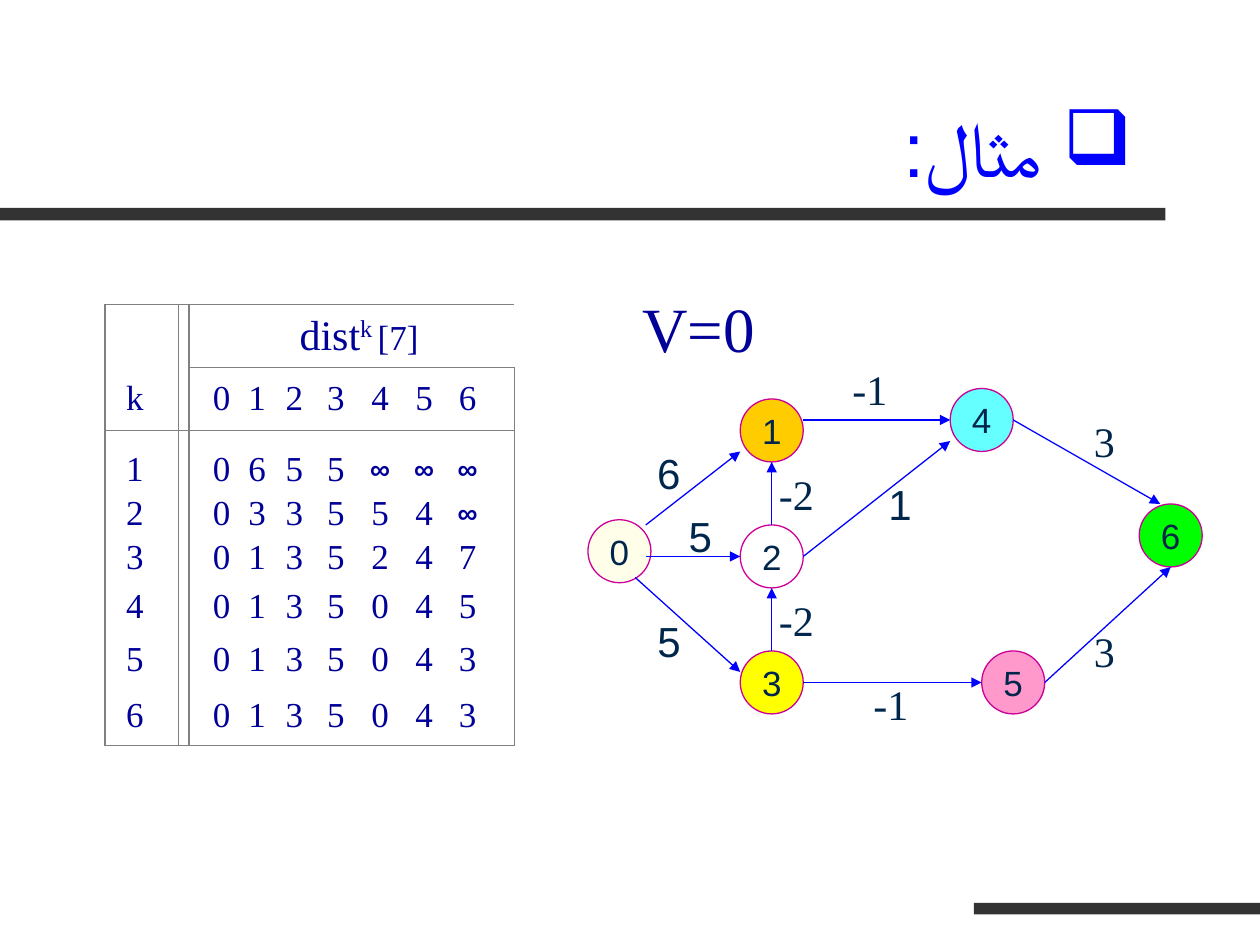
from dataclasses import dataclass

from lxml import etree
from pptx import Presentation
from pptx import util as u
from pptx.dml.color import RGBColor
from pptx.enum import shapes, text
from pptx.oxml import ns


@dataclass(frozen=True)
class Theme:
    serif: str = "Times New Roman"
    sans: str = "Arial"
    bar: str = "333333"
    blue: str = "0000FF"
    navy: str = "000099"
    ink: str = "00264C"
    grid: str = "808080"
    node_line: str = "CC0099"
    title_size: int = 44
    source_size: int = 36
    label_size: int = 24
    body_size: int = 20
    infinity_size: int = 16
    gap_size: int = 12
    line_width: float = 0.75


COLUMNS, ROWS = 120, 90
LEFT, CENTER, RIGHT = text.PP_ALIGN.LEFT, text.PP_ALIGN.CENTER, text.PP_ALIGN.RIGHT
MIDDLE = text.MSO_ANCHOR.MIDDLE

DISTANCES = ["0655∞∞∞", "033554∞", "0135247", "0135045", "0135043", "0135043"]
TABLE_COLUMNS = [7, 1, 4.8, 3.4, 3.7, 4.2, 4.2, 4.2, 6.5]
TABLE_ROWS = [6, 6, 5.9, 4, 4.4, 5, 5, 5.7]

NODES = [(56, 49.5, "FFFFE9"), (70.5, 38, "FFCC00"), (70.5, 50, "FFFFFF"),
         (70.5, 62, "FFFF00"), (90.5, 37, "66FFFF"), (93.5, 62, "FF99CC"),
         (108.5, 48, "00FF00")]
EDGES = [(61.5, 50, 70.5, 43), (61.5, 53, 70.5, 53), (60.5, 55, 70.5, 64),
         (76.5, 40, 90.5, 40), (73.5, 50, 73.5, 44), (73.5, 62, 73.5, 56),
         (76.5, 53, 90.5, 42), (76.5, 65, 93.5, 65), (96.5, 40, 110.5, 48),
         (99.5, 65, 111.5, 54)]
RTL_WEIGHTS = [("6", 59, 42, 7), ("5", 64, 48, 5), ("5", 57, 58, 9), ("1", 81, 45, 7)]
LTR_WEIGHTS = [("-1", 80, 34, 14), ("-2", 73, 44, 10), ("-2", 73, 56, 11),
               ("-1", 82, 64, 13), ("3", 103, 39, 15), ("3", 103, 59, 7)]


def apply(target, values):
    for name, value in values.items():
        setattr(target, name, value)


def add_element(parent, tag, **attributes):
    return etree.SubElement(parent, ns.qn(tag), attributes)


class SlideBuilder:
    def __init__(self, presentation, theme):
        self.theme = theme
        self.unit_x = presentation.slide_width / COLUMNS
        self.unit_y = presentation.slide_height / ROWS
        self.slide = presentation.slides.add_slide(presentation.slide_layouts[5])

    def x(self, columns):
        return u.Emu(round(columns * self.unit_x))

    def y(self, rows):
        return u.Emu(round(rows * self.unit_y))

    def box(self, left, top, width, height):
        return self.x(left), self.y(top), self.x(width), self.y(height)

    def add_words(self, paragraph, words, size, color, align=LEFT, rtl=False, **font):
        """Add one run; right-to-left text takes the sans face for complex script."""
        paragraph.alignment = align
        run = paragraph.add_run()
        run.text = words
        apply(run.font, {"name": self.theme.serif, "size": u.Pt(size), **font})
        run.font.color.rgb = RGBColor.from_string(color)
        if rtl:
            paragraph._p.get_or_add_pPr().set("rtl", "1")
            add_element(run._r.get_or_add_rPr(), "a:cs", typeface=self.theme.sans)
        return run

    def title(self, words, *place):
        title = self.slide.shapes.title
        apply(title, dict(zip(("left", "top", "width", "height"), self.box(*place))))
        frame = title.text_frame
        apply(frame, {"vertical_anchor": text.MSO_ANCHOR.BOTTOM, "word_wrap": True,
                      "auto_size": text.MSO_AUTO_SIZE.NONE})
        paragraph = frame.paragraphs[0]
        self.add_words(paragraph, words, self.theme.title_size, self.theme.blue,
                       RIGHT, True)
        properties = paragraph._p.get_or_add_pPr()
        color = add_element(properties, "a:buClr")
        add_element(color, "a:srgbClr", val=self.theme.blue)
        add_element(properties, "a:buChar", char="❑")

    def shape(self, kind, place, fill, line=None):
        shape = self.slide.shapes.add_shape(kind, *self.box(*place))
        shape.shadow.inherit = False
        shape.fill.solid()
        shape.fill.fore_color.rgb = RGBColor.from_string(fill)
        if line:
            shape.line.color.rgb = RGBColor.from_string(line)
            shape.line.width = u.Pt(self.theme.line_width)
        else:
            shape.line.fill.background()
        return shape

    def bar(self, *place):
        self.shape(shapes.MSO_SHAPE.RECTANGLE, place, self.theme.bar)

    def node(self, name, left, top, fill):
        node = self.shape(shapes.MSO_SHAPE.OVAL, (left, top, 6, 6), fill,
                          self.theme.node_line)
        apply(node.text_frame, {"word_wrap": False, "vertical_anchor": MIDDLE})
        self.add_words(node.text_frame.paragraphs[0], name, self.theme.body_size,
                       self.theme.ink, CENTER, True)

    def edge(self, *ends):
        start_x, start_y, end_x, end_y = self.box(*ends)
        edge = self.slide.shapes.add_connector(
            shapes.MSO_CONNECTOR.STRAIGHT, start_x, start_y, end_x, end_y)
        edge.line.color.rgb = RGBColor.from_string(self.theme.blue)
        edge.line.width = u.Pt(self.theme.line_width)
        add_element(edge.line._get_or_add_ln(), "a:tailEnd", type="triangle")
        add_element(edge._element.spPr, "a:effectLst")

    def label(self, words, place, size, color, **style):
        label = self.slide.shapes.add_textbox(*self.box(*place))
        label.text_frame.word_wrap = True
        self.add_words(label.text_frame.paragraphs[0], words, size, color, **style)

    def borders(self, cell, sides):
        properties = cell._tc.get_or_add_tcPr()
        for side in "LRTB":
            line = add_element(properties, f"a:ln{side}",
                               w=str(u.Pt(self.theme.line_width)))
            if side in sides:
                fill = add_element(line, "a:solidFill")
                add_element(fill, "a:srgbClr", val=self.theme.grid)
            else:
                add_element(line, "a:noFill")

    def distance_table(self, left, top):
        theme = self.theme
        place = self.box(left, top, sum(TABLE_COLUMNS), sum(TABLE_ROWS))
        table = self.slide.shapes.add_table(
            len(TABLE_ROWS), len(TABLE_COLUMNS), *place).table
        apply(table, {"first_row": False, "horz_banding": False})
        for column, width in zip(table.columns, TABLE_COLUMNS):
            column.width = self.x(width)
        for row, height in zip(table.rows, TABLE_ROWS):
            row.height = self.y(height)

        contents = [[""] * 9, ["k", "", *"0123456"]]
        contents += [[str(k), "", *row] for k, row in enumerate(DISTANCES, 1)]
        last_row, last_column = len(TABLE_ROWS) - 1, len(TABLE_COLUMNS) - 1
        for r, row in enumerate(contents):
            for c, words in enumerate(row):
                cell = table.cell(r, c)
                ruled = {"L": c <= 2, "R": c in (0, 1, last_column),
                         "T": r in (0, 2) or (r == 1 and c >= 2),
                         "B": r in (1, last_row) or (r == 0 and c >= 2)}
                self.borders(cell, [side for side, shown in ruled.items() if shown])
                cell.fill.background()
                apply(cell, {"vertical_anchor": MIDDLE,
                             "margin_left": self.x(1.4 if c == 2 else 0),
                             "margin_right": self.x({0: 1.3, last_column: 2.4}.get(c, 0)),
                             "margin_top": self.y(1.6 if r == 2 else 0),
                             "margin_bottom": 0})
                infinite = words == "∞"
                font = {"name": theme.sans, "bold": True} if infinite else {}
                size = theme.infinity_size if infinite else theme.body_size
                if words:
                    self.add_words(cell.text_frame.paragraphs[0], words, size,
                                   theme.navy, CENTER, **font)

        header = table.cell(0, 2)
        header.merge(table.cell(0, last_column))
        paragraph = header.text_frame.paragraphs[0]
        for words, size in (("dist", theme.label_size), ("k", theme.label_size),
                            (" ", theme.gap_size), ("[7]", theme.body_size)):
            run = self.add_words(paragraph, words, size, theme.navy, CENTER)
            if words == "k":
                run._r.get_or_add_rPr().set("baseline", "30000")


def main():
    presentation = Presentation()
    apply(presentation, {"slide_width": u.Inches(10), "slide_height": u.Inches(7.5)})
    theme = Theme()
    builder = SlideBuilder(presentation, theme)
    builder.bar(0, 19.8, 111, 1.2)
    builder.bar(92.75, 86, 27.25, 1.1)
    builder.title(" مثال:", 7, 4, 102, 15)
    builder.distance_table(10, 29)
    for number, node in enumerate(NODES):
        builder.node(str(number), *node)
    for edge in EDGES:
        builder.edge(*edge)
    for weights, style in ((RTL_WEIGHTS, {"align": RIGHT, "rtl": True}),
                           (LTR_WEIGHTS, {})):
        for words, left, top, width in weights:
            builder.label(words, (left, top, width, 6), theme.label_size, theme.ink,
                          **style)
    builder.label("V=0", (60, 27, 15, 8.4), theme.source_size, theme.navy)
    presentation.save("out.pptx")


if __name__ == "__main__":
    main()
